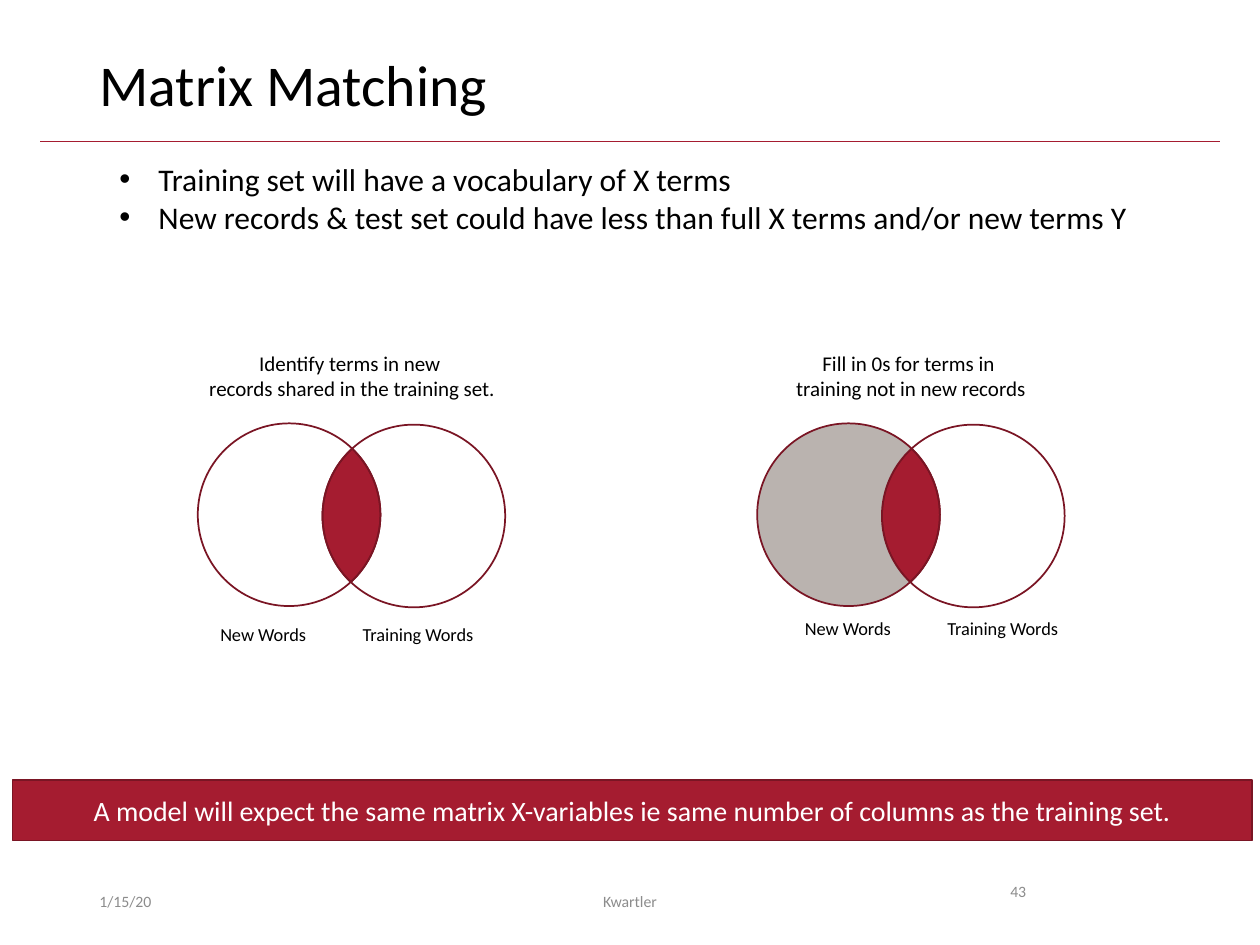
"""Build the Matrix Matching slide with its two Venn diagrams."""
from math import acos, atan2, cos, hypot, pi, sin, tan

from lxml import etree
from pptx import Presentation
from pptx.dml.color import RGBColor
from pptx.enum.shapes import MSO_CONNECTOR, MSO_SHAPE
from pptx.enum.text import MSO_ANCHOR, MSO_AUTO_SIZE, PP_ALIGN
from pptx.oxml.ns import qn
from pptx.util import Pt

PX = 9144
LEFT, MID = PP_ALIGN.LEFT, PP_ALIGN.CENTER
TOP, CENTER = MSO_ANCHOR.TOP, MSO_ANCHOR.MIDDLE
RED, DARK, GRAY = "A51C30", "7A1524", "8C8C8C"
BLACK, WHITE, STONE = "000000", "FFFFFF", "BAB3AF"


def color(text):
    return RGBColor.from_string(text)


def write(shape, text, size, hue=BLACK, align=LEFT, anchor=TOP, wrap=True):
    frame = shape.text_frame
    frame.text = text
    frame.word_wrap = wrap
    frame.vertical_anchor = anchor
    if not wrap:
        frame.auto_size = MSO_AUTO_SIZE.SHAPE_TO_FIT_TEXT
    for para in frame.paragraphs:
        para.alignment = align
        for run in para.runs:
            run.font.name = "Calibri"
            run.font.size = Pt(size)
            run.font.color.rgb = color(hue)
    return frame.paragraphs


prs = Presentation()
prs.slide_width, prs.slide_height = 1000 * PX, 750 * PX
slide = prs.slides.add_slide(prs.slide_layouts[6])
shapes = slide.shapes

rule = shapes.add_connector(
    MSO_CONNECTOR.STRAIGHT, 32 * PX, 112 * PX, 968 * PX, 112 * PX)
rule.line.color.rgb = color(RED)
rule.line.width = Pt(0.5)
etree.SubElement(rule._element.spPr, qn("a:effectLst"))

points = ("Training set will have a vocabulary of X terms\n"
          "New records & test set could have less than full X terms "
          "and/or new terms Y")
labels = [
    (69, 695, 225, 40, "1/15/20", 9, GRAY, LEFT, CENTER, True),
    (69, 40, 862, 65, "Matrix Matching", 33, BLACK, LEFT, TOP, True),
    (331, 695, 338, 40, "Kwartler", 9, GRAY, MID, CENTER, True),
    (792, 695, 94, 40, "43", 9, GRAY, LEFT, TOP, True),
    (85, 122, 830, 71, points, 18, BLACK, LEFT, TOP, False),
    (155, 273, 249, 50, "Identify terms in new \nrecords shared in the training set.",
     12, BLACK, MID, TOP, False),
    (621, 273, 204, 50, "Fill in 0s for terms in \ntraining not in new records",
     12, BLACK, MID, TOP, False),
]
for x, y in (165, 490), (629, 485):
    labels += [
        (x + 113, y, 111, 28, "Training Words", 10.5, BLACK, LEFT, TOP, False),
        (x, y, 90, 28, "New Words", 10.5, BLACK, LEFT, TOP, False),
    ]

for x, y, wide, high, text, *style in labels:
    box = shapes.add_textbox(x * PX, y * PX, wide * PX, high * PX)
    paras = write(box, text, *style)
    if text == "Matrix Matching":
        paras[0].line_spacing = 0.9
    elif text == points:
        for para in paras:
            props = para._p.get_or_add_pPr()
            props.set("marL", str(31 * PX))
            props.set("indent", str(-31 * PX))
            font = etree.SubElement(props, qn("a:buFont"))
            font.set("typeface", "Arial")
            etree.SubElement(props, qn("a:buChar")).set("char", "•")

bar = shapes.add_shape(
    MSO_SHAPE.RECTANGLE, 10 * PX, 619 * PX, 984 * PX, 48 * PX)
bar.shadow.inherit = False
bar.fill.solid()
bar.fill.fore_color.rgb = color(RED)
bar.line.color.rgb = color(DARK)
bar.line.width = Pt(1)
write(bar, "A model will expect the same matrix X-variables ie same number of "
      "columns as the training set.", 16, WHITE, MID, CENTER)

SIZE, GAP, DROP = 145, 99, 1
half = SIZE / 2
tilt = atan2(DROP, GAP)
cut = acos(hypot(GAP, DROP) / SIZE)
low, high = tilt + cut, tilt - cut
inner = [high, 0, low]
outer = [pi + high, pi, pi + low]
lens = [(0, inner), (1, outer)]
new = [(0, [low, pi / 2, pi, 3 * pi / 2, 2 * pi + high]), (1, outer[::-1])]
train = [(1, [pi + low, 3 * pi / 2, 2 * pi, 5 * pi / 2, 3 * pi + high]),
         (0, inner[::-1])]

for left, fill in (157, None), (601, STONE):
    for arcs, hue in (lens, RED), (new, fill), (train, None):
        curves = []
        for side, turns in arcs:
            midx = left + half + side * GAP
            midy = 336 + half + side * DROP
            for start, end in zip(turns, turns[1:]):
                pull = 4 / 3 * tan((end - start) / 4)
                curves.append([
                    (round((midx + half * (cos(turn) - bend * sin(turn))) * PX),
                     round((midy + half * (sin(turn) + bend * cos(turn))) * PX))
                    for turn, bend in ((start, 0), (start, pull),
                                       (end, -pull), (end, 0))])
        pen = shapes.build_freeform(*curves[0][0])
        pen.add_line_segments([curve[3] for curve in curves], close=True)
        part = pen.convert_to_shape()
        for line, curve in zip(list(part._element.iter(qn("a:lnTo"))), curves):
            line.tag = qn("a:cubicBezTo")
            line.clear()
            for x, y in curve[1:]:
                spot = etree.SubElement(line, qn("a:pt"))
                spot.set("x", str(x - part.left))
                spot.set("y", str(y - part.top))
        part.shadow.inherit = False
        part.line.color.rgb = color(DARK)
        part.line.width = Pt(1)
        if hue:
            part.fill.solid()
            part.fill.fore_color.rgb = color(hue)
        else:
            part.fill.background()

prs.save("out.pptx")
